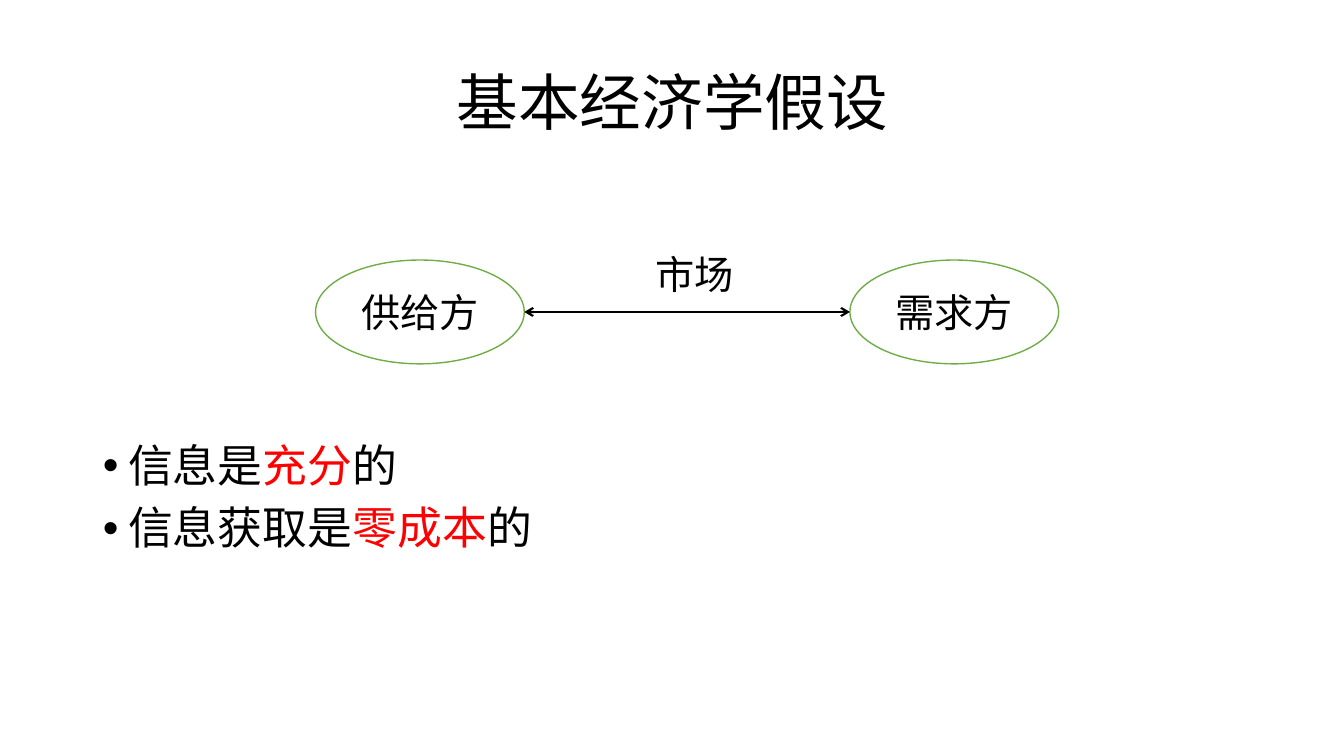
from dataclasses import dataclass

from lxml import etree
from pptx import Presentation
from pptx.dml.color import RGBColor
from pptx.enum.shapes import MSO_CONNECTOR, MSO_SHAPE
from pptx.enum.text import MSO_ANCHOR, MSO_AUTO_SIZE, PP_ALIGN
from pptx.oxml.ns import qn
from pptx.util import Inches, Pt

CENTER = PP_ALIGN.CENTER
LEFT = PP_ALIGN.LEFT
MIDDLE = MSO_ANCHOR.MIDDLE
TOP = MSO_ANCHOR.TOP
NO_AUTOFIT = MSO_AUTO_SIZE.NONE
ELLIPSE = MSO_SHAPE.OVAL
STRAIGHT = MSO_CONNECTOR.STRAIGHT


@dataclass(frozen=True)
class Theme:
    """Fonts, colours and type sizes of the slide."""
    font: str = "Noto Sans CJK SC"
    ink: RGBColor = RGBColor(0, 0, 0)
    paper: RGBColor = RGBColor(255, 255, 255)
    accent: RGBColor = RGBColor(255, 0, 0)
    outline: RGBColor = RGBColor(0x70, 0xAD, 0x47)
    title_size: int = 44
    body_size: int = 32
    label_size: int = 28


THEME = Theme()


def place(shape, left, top, width, height):
    """Position a shape by lengths in inches."""
    shape.left, shape.top = Inches(left), Inches(top)
    shape.width, shape.height = Inches(width), Inches(height)


def add_bullet(paragraph, indent=0.25):
    """Give a paragraph a round bullet with a hanging indent."""
    properties = paragraph._p.get_or_add_pPr()
    properties.set("marL", str(Inches(indent)))
    properties.set("indent", str(-Inches(indent)))
    etree.SubElement(properties, qn("a:buFont")).set("typeface", "Arial")
    etree.SubElement(properties, qn("a:buChar")).set("char", "•")


def write(frame, paragraphs, size, align=CENTER, anchor=MIDDLE, spacing=1.0,
          before=0, bullet=False):
    """Fill a frame with paragraphs made of (text, colour) runs."""
    frame.word_wrap = True
    frame.auto_size = NO_AUTOFIT
    frame.vertical_anchor = anchor
    for index, runs in enumerate(paragraphs):
        paragraph = frame.paragraphs[0] if index == 0 else frame.add_paragraph()
        if bullet:
            add_bullet(paragraph)
        paragraph.alignment = align
        paragraph.line_spacing = spacing
        paragraph.space_before = Pt(before if index else 0)
        for text, color in runs:
            run = paragraph.add_run()
            run.text = text
            run.font.size = Pt(size)
            run.font.name = THEME.font
            run.font.color.rgb = color
            east_asian = etree.SubElement(run.font._element, qn("a:ea"))
            east_asian.set("typeface", THEME.font)


def add_party(group, name, left, top, width, height):
    """Draw one side of the market as a labelled ellipse."""
    party = group.shapes.add_shape(
        ELLIPSE, Inches(left), Inches(top), Inches(width), Inches(height))
    party.shadow.inherit = False
    party.fill.solid()
    party.fill.fore_color.rgb = THEME.paper
    party.line.color.rgb = THEME.outline
    party.line.width = Pt(1)
    write(party.text_frame, [[(name, THEME.ink)]], THEME.label_size)


def add_double_arrow(group, start, end, y):
    """Draw a horizontal line with an open arrowhead at each end."""
    arrow = group.shapes.add_connector(
        STRAIGHT, Inches(start), Inches(y), Inches(end), Inches(y))
    arrow.line.color.rgb = THEME.ink
    arrow.line.width = Pt(1.5)
    outline = arrow.line._get_or_add_ln()
    for tag in ("a:headEnd", "a:tailEnd"):
        etree.SubElement(outline, qn(tag)).set("type", "arrow")
    etree.SubElement(arrow._element.spPr, qn("a:effectLst"))


def add_market(slide):
    """Draw supply and demand joined by the market."""
    supply_left, demand_left, top, width, height = 3.13, 8.43, 2.58, 2.07, 1.03
    market = slide.shapes.add_group_shape()
    add_party(market, "需求方", demand_left, top, width, height)
    add_party(market, "供给方", supply_left, top, width, height)
    add_double_arrow(market, supply_left + width, demand_left, top + height / 2)
    label = market.shapes.add_textbox(
        Inches(5.97), Inches(2.43), Inches(1.84), Inches(0.57))
    write(label.text_frame, [[("市场", THEME.ink)]], THEME.label_size, anchor=TOP)


def main():
    """Build the slide and save it."""
    deck = Presentation()
    deck.slide_width, deck.slide_height = Inches(13.33), Inches(7.5)
    slide = deck.slides.add_slide(deck.slide_layouts[1])

    title = slide.shapes.title
    place(title, 0.92, 0.32, 11.5, 1.45)
    write(title.text_frame, [[("基本经济学假设", THEME.ink)]],
          THEME.title_size, spacing=0.9)

    assumptions = slide.placeholders[1]
    place(assumptions, 0.92, 4.35, 11.5, 2.41)
    statements = [("信息是", "充分", "的"), ("信息获取是", "零成本", "的")]
    colors = (THEME.ink, THEME.accent, THEME.ink)
    write(assumptions.text_frame, [list(zip(parts, colors)) for parts in statements],
          THEME.body_size, align=LEFT, anchor=TOP, spacing=0.9, before=10, bullet=True)

    add_market(slide)
    deck.save("out.pptx")


if __name__ == "__main__":
    main()
